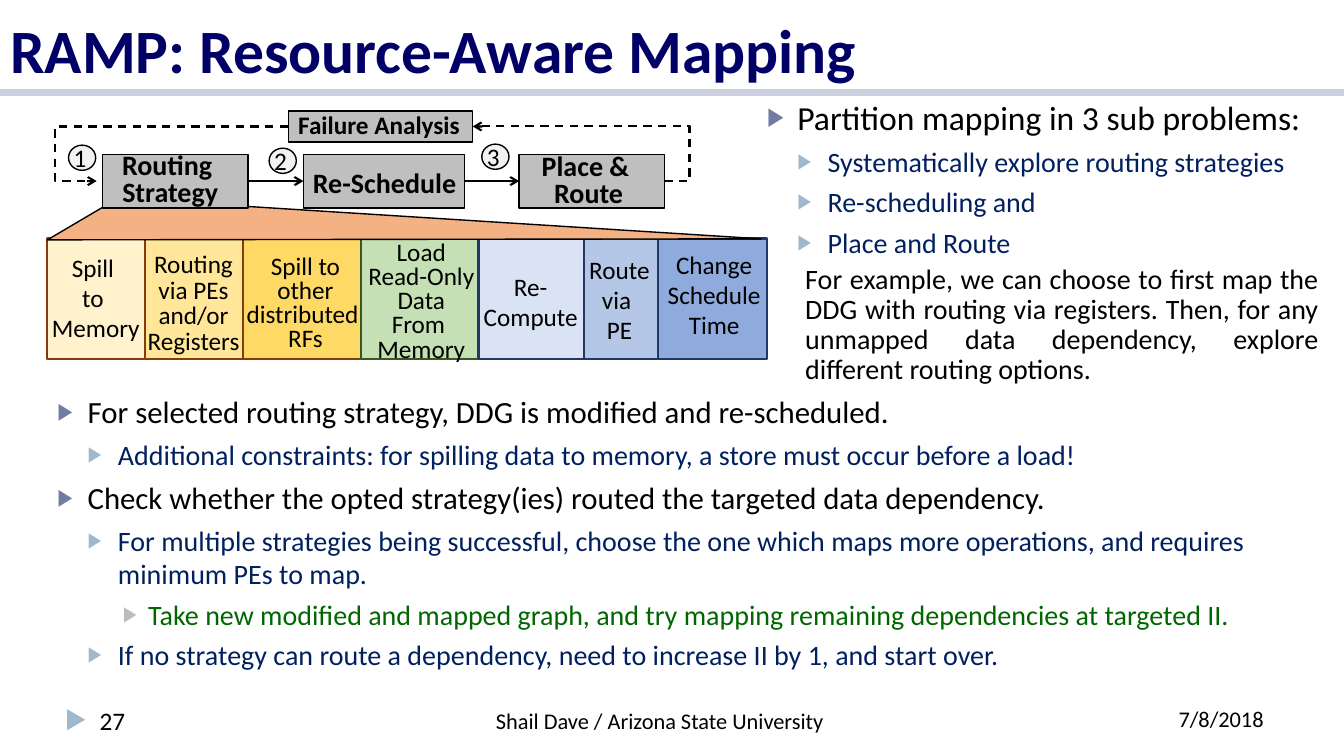
from typing import NamedTuple

from lxml import etree
from pptx import Presentation
from pptx.dml.color import RGBColor
from pptx.enum.dml import MSO_LINE
from pptx.enum.shapes import MSO_CONNECTOR, MSO_SHAPE
from pptx.enum.text import MSO_ANCHOR, MSO_AUTO_SIZE, PP_ALIGN
from pptx.oxml.ns import qn
from pptx.util import Inches, Length, Pt

STRAIGHT, ELBOW = MSO_CONNECTOR.STRAIGHT, MSO_CONNECTOR.ELBOW
RECT, OVAL, TRIANGLE = MSO_SHAPE.RECTANGLE, MSO_SHAPE.OVAL, MSO_SHAPE.ISOSCELES_TRIANGLE
LEFT, CENTER, JUSTIFY = PP_ALIGN.LEFT, PP_ALIGN.CENTER, PP_ALIGN.JUSTIFY
BOTTOM, TOP = MSO_ANCHOR.BOTTOM, MSO_ANCHOR.TOP
FIT, FIXED = MSO_AUTO_SIZE.SHAPE_TO_FIT_TEXT, MSO_AUTO_SIZE.NONE
DASH = MSO_LINE.DASH

FONT = "Calibri"
BLACK = RGBColor(0x00, 0x00, 0x00)
NAVY = RGBColor(0x00, 0x00, 0x66)
BLUE = RGBColor(0x00, 0x20, 0x60)
GREEN = RGBColor(0x00, 0x66, 0x00)
RULE = RGBColor(0xCC, 0xD0, 0xE0)
MARK = RGBColor(0x9F, 0xB8, 0xCD)
STEP_FILL = RGBColor(0xBF, 0xBF, 0xBF)
BADGE_FILL = RGBColor(0xF2, 0xF2, 0xF2)
FAN_FILL = RGBColor(0xF4, 0xB1, 0x83)
BROWN = RGBColor(0x84, 0x3C, 0x0B)
DARK_GREEN = RGBColor(0x38, 0x57, 0x23)
DARK_BLUE = RGBColor(0x20, 0x38, 0x64)

COLS, ROWS = 80, 45
UNIT = Inches(1) // 6
CELL_TOP, CELL_ROWS = 14.2, 7.2
FIRST_CELL = 2.82
STEP_TOP, STEP_ROWS = 9.18, 3.2


class Frame(NamedTuple):
    col: float
    row: float
    cols: float
    rows: float


class Level(NamedTuple):
    margin: float
    hang: float
    before: float
    bullet: RGBColor
    color: RGBColor


class Item(NamedTuple):
    level: int
    size: float
    text: str


class Step(NamedTuple):
    col: float
    cols: float
    label: Frame
    paragraphs: list[str]
    spacing: float


class Strategy(NamedTuple):
    cols: float
    fill: RGBColor
    line: RGBColor
    label: Frame
    paragraphs: list[str]
    spacing: float


LEVELS = [
    Level(0.3, 0.3, 6, RGBColor(0x72, 0x7C, 0xA3), BLACK),
    Level(0.6, 0.3, 5, MARK, BLUE),
    Level(0.9, 0.25, 5, RGBColor(0xBD, 0xBD, 0xBD), GREEN),
]
PROBLEMS = [
    Item(0, 24, "Partition mapping in 3 sub problems:"),
    Item(1, 20, "Systematically explore routing strategies"),
    Item(1, 20, "Re-scheduling and"),
    Item(1, 20, "Place and Route"),
]
PROCEDURE = [
    Item(0, 22, "For selected routing strategy, DDG is modified and re-scheduled."),
    Item(1, 20, "Additional constraints: for spilling data to memory, a store must occur before a load!"),
    Item(0, 22, "Check whether the opted strategy(ies) routed the targeted data dependency."),
    Item(1, 20, "For multiple strategies being successful, choose the one which maps more operations, "
                "and requires minimum PEs to map."),
    Item(2, 20, "Take new modified and mapped graph, and try mapping remaining dependencies at targeted II."),
    Item(1, 20, "If no strategy can route a dependency, need to increase II by 1, and start over."),
]
STEPS = [
    Step(6.12, 8.64, Frame(5.76, 8.88, 8.76, 3.9), ["Routing ", "Strategy"], 0.8),
    Step(18.06, 9.6, Frame(17.7, 9.54, 10.38, 2.64), ["Re-Schedule"], 1),
    Step(30.9, 8.64, Frame(30.72, 8.94, 8.64, 3.9), ["Place & \nRoute"], 0.8),
]
BADGES = [(4.08, 8.64), (16.02, 8.82), (28.68, 8.58)]
STRATEGIES = [
    Strategy(5.8, RGBColor(0xFF, 0xF2, 0xCC), BROWN, Frame(2.46, 14.7, 6.48, 6.06),
             ["Spill \nto \nMemory"], 1),
    Strategy(5.86, RGBColor(0xFF, 0xE6, 0x99), BROWN, Frame(8.16, 14.76, 6.72, 6.78),
             ["Routing\nvia PEs", "and/or\nRegisters"], 0.85),
    Strategy(7, RGBColor(0xFF, 0xD9, 0x66), BROWN, Frame(14.04, 14.94, 8.28, 6.48),
             ["Spill to\nother\ndistributed \nRFs"], 0.8),
    Strategy(7, RGBColor(0xC5, 0xE0, 0xB4), DARK_GREEN, Frame(21.3, 14.1, 7.56, 7.92),
             ["Load\nRead-Only\nData\nFrom \nMemory"], 0.8),
    Strategy(6.3, RGBColor(0xDA, 0xE3, 0xF3), DARK_BLUE, Frame(28.14, 15.84, 6.9, 4.26),
             ["Re-\nCompute"], 1),
    Strategy(4.38, RGBColor(0xB4, 0xC7, 0xE7), DARK_BLUE, Frame(34.44, 14.82, 4.86, 6.06),
             ["Route\nvia \nPE"], 1),
    Strategy(6.48, RGBColor(0x8F, 0xAA, 0xDC), DARK_BLUE, Frame(39.12, 14.52, 6.78, 6.06),
             ["Change\nSchedule\nTime"], 1),
]


def grid(*values: float) -> list[Length]:
    return [Length(round(v * UNIT)) for v in values]


def add_run(p, text: str, size: float, color=BLACK, bold=False) -> None:
    for i, line in enumerate(text.split("\n")):
        if i:
            p.add_line_break()
        r = p.add_run()
        r.text = line
        r.font.name, r.font.size, r.font.bold = FONT, Pt(size), bold
        r.font.color.rgb = color


def add_label(frame: Frame, paragraphs: list[str], size: float, align=CENTER,
              spacing: float = 1, bold=False, wrap=False):
    tf = s.shapes.add_textbox(*grid(*frame)).text_frame
    tf.word_wrap, tf.auto_size = wrap, FIT
    for i, text in enumerate(paragraphs):
        p = tf.add_paragraph() if i else tf.paragraphs[0]
        p.alignment, p.line_spacing = align, spacing
        add_run(p, text, size, bold=bold)
    return tf


def style(sp, fill: RGBColor, line: RGBColor | None = BLACK, width: float = 1) -> None:
    sp.shadow.inherit = False
    sp.fill.solid()
    sp.fill.fore_color.rgb = fill
    if line is None:
        sp.line.fill.background()
    else:
        sp.line.color.rgb, sp.line.width = line, Pt(width)


def add_box(kind, frame: Frame, fill: RGBColor, line: RGBColor | None = BLACK, width: float = 1):
    sp = s.shapes.add_shape(kind, *grid(*frame))
    style(sp, fill, line, width)
    return sp


def add_line(kind, ends: Frame, color=BLACK, width: float = 1.5, arrow=True):
    line = s.shapes.add_connector(kind, *grid(*ends))
    line.line.color.rgb, line.line.width = color, Pt(width)
    if arrow:
        etree.SubElement(line.line._get_or_add_ln(), qn("a:tailEnd"), type="arrow")
    etree.SubElement(line._element.spPr, qn("a:effectLst"))
    return line


def add_feedback(ends: Frame, bend: int) -> None:
    line = add_line(ELBOW, ends)
    line.line.dash_style = DASH
    guides = line._element.spPr.find(qn("a:prstGeom")).get_or_add_avLst()
    etree.SubElement(guides, qn("a:gd"), name="adj1", fmla=f"val {bend}")


def fill_list(sp, frame: Frame, items: list[Item]) -> None:
    sp.left, sp.top, sp.width, sp.height = grid(*frame)
    tf = sp.text_frame
    tf.auto_size, tf.word_wrap, tf.vertical_anchor = FIXED, True, TOP
    for i, item in enumerate(items):
        p = tf.add_paragraph() if i else tf.paragraphs[0]
        level = LEVELS[item.level]
        p.level = item.level
        pPr = p._p.get_or_add_pPr()
        pPr.set("marL", str(Inches(level.margin)))
        pPr.set("indent", str(-Inches(level.hang)))
        color = etree.SubElement(pPr, qn("a:buClr"))
        etree.SubElement(color, qn("a:srgbClr"), val=str(level.bullet))
        etree.SubElement(pPr, qn("a:buSzPct"), val="76000")
        etree.SubElement(pPr, qn("a:buChar"), char="▶")
        p.space_before = Pt(level.before if i else 0)
        add_run(p, item.text, item.size, level.color)


prs = Presentation()
prs.slide_width, prs.slide_height = grid(COLS, ROWS)
s = prs.slides.add_slide(prs.slide_layouts[3])
title, problems, procedure = s.placeholders

add_line(STRAIGHT, Frame(0, 5.52, COLS, 5.52), RULE, 5, arrow=False)
add_box(TRIANGLE, Frame(3.9, 42.3, 1.26, 1.08), MARK, None).rotation = 90
add_label(Frame(28.8, 41.82, 20.94, 2.22), ["Shail Dave / Arizona State University"], 16)

title.left, title.top, title.width, title.height = grid(0, 0, COLS, 5.4)
tf = title.text_frame
tf.auto_size, tf.vertical_anchor = FIXED, BOTTOM
tf.paragraphs[0].alignment = LEFT
add_run(tf.paragraphs[0], "RAMP: Resource-Aware Mapping", 44, NAVY, True)
fill_list(problems, Frame(45.06, 5.46, 34, 12.9), PROBLEMS)
fill_list(procedure, Frame(2.82, 23.1, 74.28, 17.28), PROCEDURE)

col = FIRST_CELL
for strategy in STRATEGIES:
    add_box(RECT, Frame(col, CELL_TOP, strategy.cols, CELL_ROWS), strategy.fill, strategy.line, 1.5)
    col += strategy.cols
for strategy in STRATEGIES:
    add_label(strategy.label, strategy.paragraphs, 18, spacing=strategy.spacing)

fan = s.shapes.build_freeform(*grid(FIRST_CELL, 14.28), scale=1.0)
fan.add_line_segments([grid(6.18, 12.3), grid(14.88, 12.3), grid(45.3, 14.22)], close=True)
style(fan.convert_to_shape(), FAN_FILL)

boxes = []
for step in STEPS:
    boxes.append(add_box(RECT, Frame(step.col, STEP_TOP, step.cols, STEP_ROWS), STEP_FILL))
    add_label(step.label, step.paragraphs, 20, spacing=step.spacing, bold=True, wrap=True)
for before, after in zip(boxes, boxes[1:]):
    arrow = add_line(STRAIGHT, Frame(0, 0, 1, 1))
    arrow.begin_connect(before, 3)
    arrow.end_connect(after, 1)

add_box(RECT, Frame(17.16, 6.6, 10.98, 1.86), STEP_FILL)
add_label(Frame(17.16, 6.24, 10.92, 2.4), ["Failure Analysis"], 18, LEFT, bold=True)
add_feedback(Frame(17.16, 7.53, 5.76, 10.78), 121600)
add_feedback(Frame(39.54, 10.78, 28.14, 7.53), -13200)

for number, (col, row) in enumerate(BADGES, 1):
    add_box(OVAL, Frame(col, row, 1.62, 1.5), BADGE_FILL)
    tf = add_label(Frame(col + 0.3, row - 0.48, 0.78, 2.4), [str(number)], 18, LEFT)
    tf.margin_left = tf.margin_right = 0

add_label(Frame(47.34, 15.48, 31.74, 7.86),
          ["For example, we can choose to first map the DDG with routing via registers. "
           "Then, for any unmapped data dependency, explore different routing options."],
          20, JUSTIFY, 0.9, wrap=True)
add_label(Frame(68.4, 41.7, 8.58, 2.4), ["7/8/2018"], 16, wrap=True)
add_label(Frame(5.34, 41.7, 11.28, 2.4), ["27"], 18, LEFT, wrap=True)

prs.save("out.pptx")
